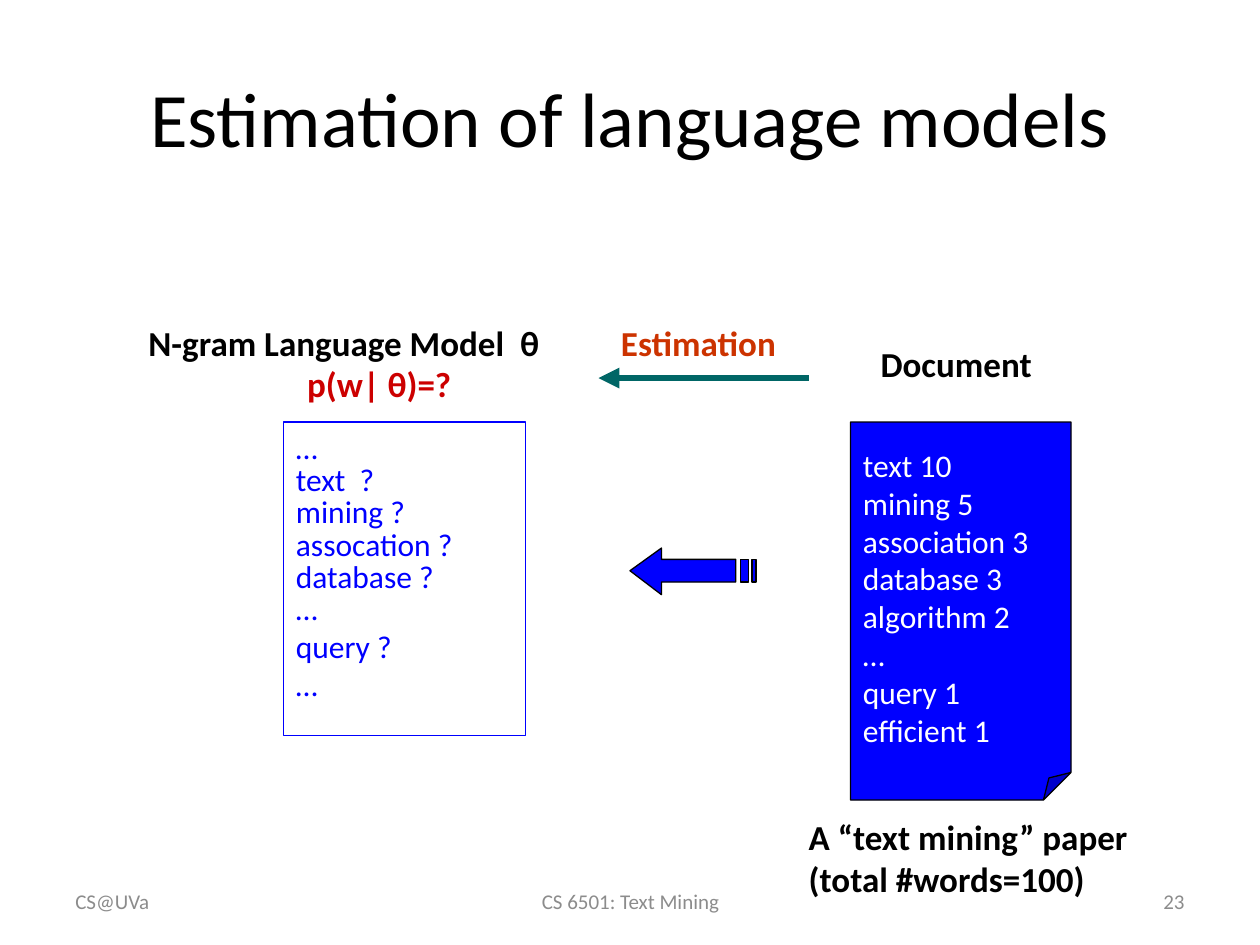
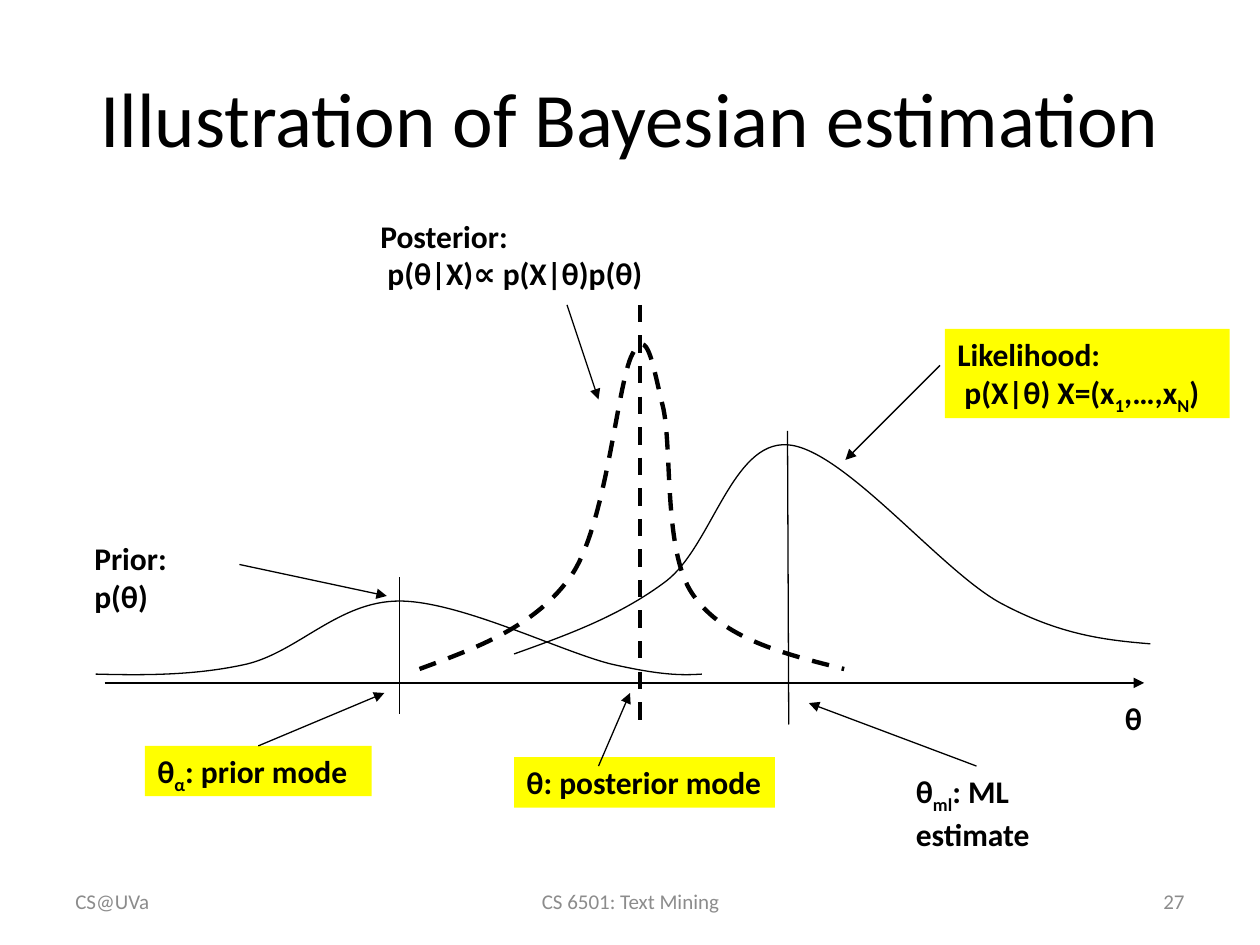
from lxml.etree import SubElement, Element
from pptx import Presentation
from pptx.dml.color import RGBColor
from pptx.enum.dml import MSO_LINE
from pptx.enum.shapes import MSO_CONNECTOR as Connector, MSO_SHAPE as Preset
from pptx.enum.text import MSO_ANCHOR as Anchor, PP_ALIGN as Align
from pptx.oxml.ns import qn
from pptx.util import Inches, Pt

FONT = "Calibri"
BLACK = RGBColor(0x00, 0x00, 0x00)
WHITE = RGBColor(0xFF, 0xFF, 0xFF)
GRAY = RGBColor(0x8C, 0x8C, 0x8C)
BLUE = RGBColor(0x00, 0x00, 0xFF)
TEAL = RGBColor(0x00, 0x66, 0x66)
RED = RGBColor(0xCC, 0x00, 0x00)
ORANGE = RGBColor(0xCC, 0x33, 0x00)
YELLOW = RGBColor(0xFF, 0xFF, 0x00)

THIN, THICK = 0.75, 2.5
SUBSCRIPT_MARK = "_"


def write(shape, lines, size=18, color=BLACK, bold=True, align=Align.LEFT,
          anchor=Anchor.TOP, wrap=True):
    frame = shape.text_frame
    frame.word_wrap = wrap
    frame.vertical_anchor = anchor
    for index, line in enumerate(lines):
        paragraph = frame.paragraphs[0] if index == 0 else frame.add_paragraph()
        paragraph.alignment = align
        for position, piece in enumerate(line.split(SUBSCRIPT_MARK)):
            run = paragraph.add_run()
            run.text = piece
            run.font.name = FONT
            run.font.size = Pt(size)
            run.font.bold = bold
            run.font.color.rgb = color
            if position % 2:
                run.font._element.set("baseline", "-25000")
    return frame.paragraphs


def add_text(slide, box, lines, **style):
    shape = slide.shapes.add_textbox(*map(Inches, box))
    return write(shape, lines, **style)


def paint(shape, fill=None, line=None, width=THIN):
    shape.shadow.inherit = False
    if fill is None:
        shape.fill.background()
    else:
        shape.fill.solid()
        shape.fill.fore_color.rgb = fill
    if line is None:
        shape.line.fill.background()
    else:
        shape.line.color.rgb = line
        shape.line.width = Pt(width)


def add_box(slide, preset, box, fill=None, line=None):
    shape = slide.shapes.add_shape(preset, *map(Inches, box))
    paint(shape, fill, line)
    return shape


def add_note(slide, box, lines, wrap=True):
    note = add_box(slide, Preset.RECTANGLE, box, YELLOW)
    write(note, lines, wrap=wrap)
    return note


def set_fold(shape, share):
    adjustments = next(shape._element.iter(qn("a:avLst")))
    for guide in list(adjustments):
        adjustments.remove(guide)
    SubElement(adjustments, qn("a:gd"), name="adj", fmla=f"val {round(share * 100000)}")


def add_line(slide, start, end, color=BLACK, width=THIN, arrow=False, dashed=False):
    ends = map(Inches, (*start, *end))
    connector = slide.shapes.add_connector(Connector.STRAIGHT, *ends)
    connector.line.color.rgb = color
    connector.line.width = Pt(width)
    if dashed:
        connector.line.dash_style = MSO_LINE.DASH
    properties = connector._element.spPr
    if arrow:
        SubElement(properties.find(qn("a:ln")), qn("a:tailEnd"), type="triangle")
    SubElement(properties, qn("a:effectLst"))
    return connector


def to_emu(points):
    return [(Inches(x), Inches(y)) for x, y in points]


def add_curve(slide, points, width=THIN, dashed=False):
    start, *controls = to_emu(points)
    builder = slide.shapes.build_freeform(*start)
    builder.add_line_segments(controls, close=False)
    curve = builder.convert_to_shape()
    outline = next(curve._element.iter(qn("a:path")))
    segments = outline.findall(qn("a:lnTo"))
    for first in range(0, len(segments), 3):
        bezier = Element(qn("a:cubicBezTo"))
        for segment in segments[first:first + 3]:
            bezier.append(segment[0])
            outline.remove(segment)
        outline.append(bezier)
    paint(curve, line=BLACK, width=width)
    if dashed:
        curve.line.dash_style = MSO_LINE.DASH


def add_striped_arrow(slide):
    top, bottom = 4.44, 4.62
    head = [(5.25, 4.35), (5.25, top), (5.84, top), (5.84, bottom),
            (5.25, bottom), (5.25, 4.72), (5, 4.53)]
    stripes = [[(left, top), (right, top), (right, bottom), (left, bottom)]
               for left, right in ((5.88, 5.94), (5.97, 6))]
    start, *rest = to_emu(head)
    builder = slide.shapes.build_freeform(*start)
    builder.add_line_segments(rest)
    for stripe in stripes:
        start, *rest = to_emu(stripe)
        builder.move_to(*start)
        builder.add_line_segments(rest)
    paint(builder.convert_to_shape(), BLUE, BLACK)


def add_base_slide(presentation, title, number):
    slide = presentation.slides.add_slide(presentation.slide_layouts[6])
    add_text(slide, (0.5, 0.3, 9, 1.25), [title], size=44, bold=False,
             align=Align.CENTER, anchor=Anchor.MIDDLE)
    footers = ((0.5, 2.33, "CS@UVa", Align.LEFT),
               (3.42, 3.17, "CS 6501: Text Mining", Align.CENTER),
               (7.17, 2.33, number, Align.RIGHT))
    for left, width, text, align in footers:
        add_text(slide, (left, 6.95, width, 0.4), [text], size=12, color=GRAY,
                 bold=False, align=align, anchor=Anchor.MIDDLE)
    return slide


def build_estimation(presentation):
    slide = add_base_slide(presentation, "Estimation of language models", "23")

    add_text(slide, (6.89, 2.67, 1.43, 0.43), ["Document"], size=20, wrap=False)
    document = add_box(slide, Preset.FOLDED_CORNER, (6.75, 3.35, 1.75, 3), BLUE, BLACK)
    set_fold(document, 0.125)
    write(document, ["text 10", "mining 5", "association 3", "database 3",
                     "algorithm 2", "…", "query 1", "efficient 1"],
          color=WHITE, bold=False, anchor=Anchor.MIDDLE, wrap=False)
    add_text(slide, (6.32, 6.42, 2.75, 0.77),
             ["A “text mining” paper", "(total #words=100)"], size=20, wrap=False)

    add_text(slide, (1.08, 2.5, 3.4, 0.43), ["N-gram Language Model  θ"], size=20)
    add_text(slide, (2.34, 2.83, 1.5, 0.43), ["p(w| θ)=?"], size=20, color=RED)
    model = add_box(slide, Preset.RECTANGLE, (2.25, 3.35, 1.92, 2.49), line=BLUE)
    paragraphs = write(model, ["…", "text  ?", "mining ?", "assocation ?",
                               "database ?", "…", "query ?", "…"],
                       color=BLUE, bold=False)
    for paragraph in paragraphs[1:6]:
        paragraph.line_spacing = 0.85

    add_striped_arrow(slide)
    add_line(slide, (6.42, 3), (4.75, 3), TEAL, 4, arrow=True)
    add_text(slide, (4.83, 2.5, 1.49, 0.43), ["Estimation"], size=20,
             color=ORANGE, wrap=False)


def build_bayesian(presentation):
    slide = add_base_slide(presentation, "Illustration of Bayesian estimation", "27")

    add_line(slide, (0.83, 5.42), (9.08, 5.42), arrow=True)
    add_text(slide, (8.83, 5.5, 0.32, 0.37), ["θ"], wrap=False)

    prior = [(0.76, 5.35), (1.16, 5.36), (1.56, 5.36), (1.96, 5.27),
             (2.37, 5.17), (2.69, 4.77), (3.17, 4.77),
             (3.65, 4.77), (4.45, 5.17), (4.85, 5.27),
             (5.25, 5.36), (5.41, 5.36), (5.57, 5.35)]
    likelihood = [(4.08, 5.19), (4.5, 5.04), (4.92, 4.89), (5.29, 4.61),
                  (5.65, 4.33), (5.81, 3.5), (6.25, 3.53),
                  (6.69, 3.56), (7.45, 4.51), (7.93, 4.78),
                  (8.41, 5.04), (8.77, 5.08), (9.13, 5.11)]
    posterior = [(3.33, 5.31), (3.79, 5.14), (4.26, 4.97), (4.54, 4.56),
                 (4.82, 4.14), (4.9, 3.03), (5.02, 2.81),
                 (5.14, 2.58), (5.18, 2.9), (5.26, 3.22),
                 (5.34, 3.54), (5.26, 4.38), (5.5, 4.72),
                 (5.74, 5.07), (6.22, 5.19), (6.7, 5.31)]
    add_curve(slide, prior)
    add_curve(slide, likelihood)
    add_curve(slide, posterior, THICK, dashed=True)

    add_line(slide, (3.17, 4.58), (3.17, 5.67))
    add_line(slide, (6.25, 3.42), (6.26, 5.75))
    add_line(slide, (5.08, 2.42), (5.08, 5.75), width=THICK, dashed=True)

    add_text(slide, (0.65, 4.23, 1.19, 0.67), ["Prior:", "p(θ)"])
    add_text(slide, (2.92, 1.67, 2.4, 0.9), ["Posterior:", " p(θ|X)∝ p(X|θ)p(θ)"])
    add_text(slide, (7.17, 6.08, 1.75, 0.7), ["θ_ml_: ML", "estimate"])
    add_note(slide, (7.5, 2.61, 2.26, 0.71),
             ["Likelihood:", " p(X|θ) X=(x_1_,…,x_N_)"])
    prior_mode = add_note(slide, (1.15, 5.92, 1.8, 0.4), ["θ_α_: prior mode"], wrap=False)
    add_note(slide, (4.08, 6.01, 2.07, 0.4), ["θ: posterior mode"])

    pointers = (((1.9, 4.48), (3.07, 4.73)),
                ((7.46, 2.9), (6.71, 3.65)),
                ((4.5, 2.42), (4.75, 3.17)),
                ((7.75, 6.08), (6.42, 5.58)),
                ((4.75, 6.08), (5, 5.5)))
    for start, end in pointers:
        add_line(slide, start, end, arrow=True)
    mode_pointer = add_line(slide, (2.05, 5.92), (3.05, 5.5), arrow=True)
    mode_pointer.begin_connect(prior_mode, 0)


def main():
    presentation = Presentation()
    presentation.slide_width = Inches(10)
    presentation.slide_height = Inches(7.5)
    build_estimation(presentation)
    build_bayesian(presentation)
    presentation.save("out.pptx")


if __name__ == "__main__":
    main()
